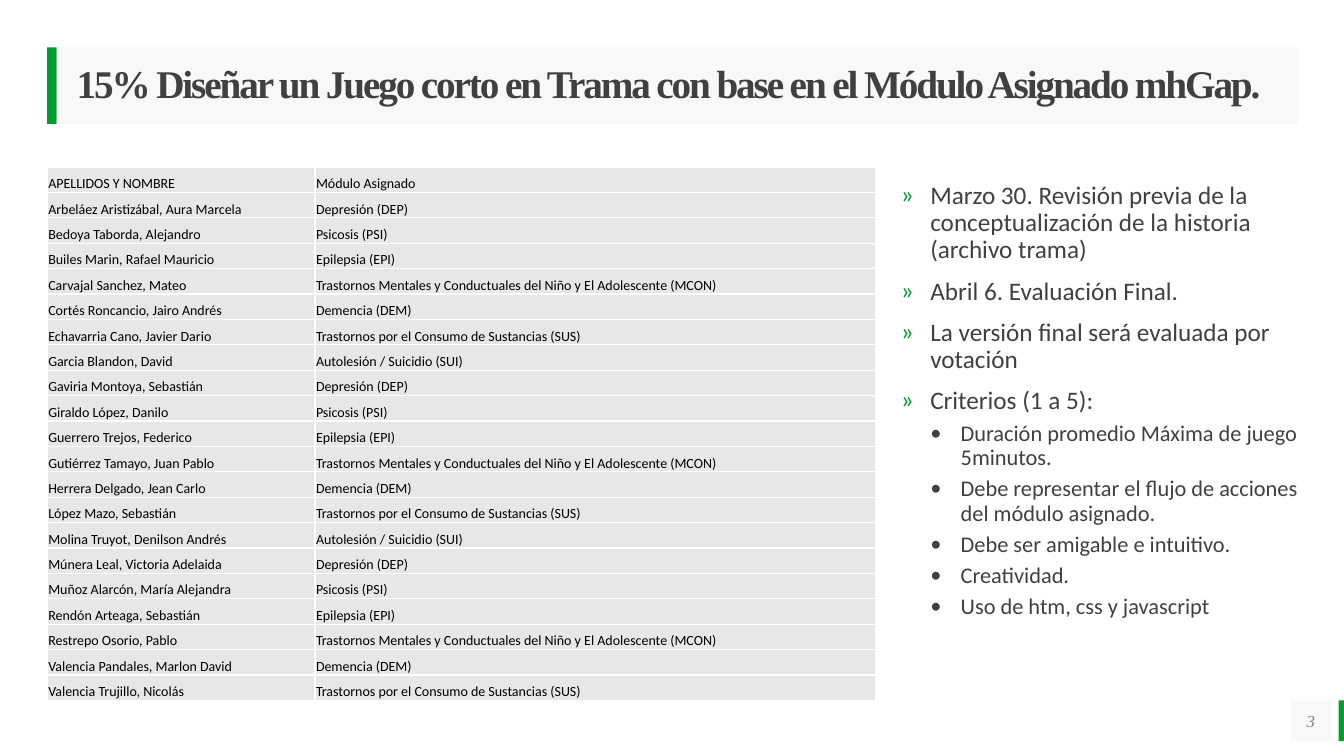
from lxml import etree
from pptx import Presentation, util as u
from pptx.dml.color import RGBColor
from pptx.enum import shapes, text
from pptx.oxml import parse_xml
from pptx.oxml.ns import nsdecls, qn

PX = 9525  # EMU per px, 96 px to the inch
COLORS = {"green": "029B2D", "panel": "F2F2F2", "dark": "404040", "grey": "808080",
          "cell": "E7E7E7", "black": "000000", "white": "FFFFFF"}
SERIF, SANS = "Times New Roman", "Calibri"


def write(paragraph, content, size, color, font=SANS, bold=False, italic=False,
          align=text.PP_ALIGN.LEFT, line=1.0, before=0, tracking=None):
    paragraph.alignment = align
    paragraph.line_spacing = line
    paragraph.space_before = u.Pt(before)
    run = paragraph.add_run()
    run.text = content
    run.font.size = u.Pt(size)
    run.font.name = font
    run.font.bold = bold
    run.font.italic = italic
    run.font.color.rgb = RGBColor.from_string(COLORS[color])
    if tracking:
        run.font._element.set("spc", str(tracking))


def add_rectangle(slide, left, top, width, height, color, opacity=100, inset=0):
    """Add a borderless rectangle and return its first paragraph."""
    shape = slide.shapes.add_shape(shapes.MSO_SHAPE.RECTANGLE,
                                   left * PX, top * PX, width * PX, height * PX)
    shape.shadow.inherit = False
    shape.line.fill.background()
    shape.fill.solid()
    shape.fill.fore_color.rgb = RGBColor.from_string(COLORS[color])
    if opacity < 100:
        srgb = shape.fill._xPr.find(".//" + qn("a:srgbClr"))
        etree.SubElement(srgb, qn("a:alpha"), val=str(opacity * 1000))
    frame = shape.text_frame
    frame.word_wrap = True
    frame.vertical_anchor = text.MSO_ANCHOR.MIDDLE
    frame.margin_left = inset * PX
    frame.margin_top = frame.margin_right = frame.margin_bottom = 0
    return frame.paragraphs[0]


presentation = Presentation()
presentation.slide_width = 1280 * PX
presentation.slide_height = 720 * PX
slide = presentation.slides.add_slide(presentation.slide_layouts[6])

# Title band and page number
add_rectangle(slide, 1275, 667, 5, 39, "green")
add_rectangle(slide, 45, 45, 9, 73, "green")
page_number = add_rectangle(slide, 1229, 667, 39, 39, "panel", opacity=50)
write(page_number, "3", 12, "grey", font=SERIF, italic=True, align=text.PP_ALIGN.CENTER)
title = add_rectangle(slide, 54, 45, 1182, 73, "panel", opacity=50, inset=19)
write(title, "15% Diseñar un Juego corto en Trama con base en el Módulo Asignado mhGap.",
      28, "dark", font=SERIF, bold=True, line=0.9, tracking=-150)

# Dates and criteria
NOTES = [
    (0, "Marzo 30. Revisión previa de la conceptualización de la historia (archivo trama)"),
    (0, "Abril 6. Evaluación Final."),
    (0, "La versión final será evaluada por votación"),
    (0, "Criterios (1 a 5):"),
    (1, "Duración promedio Máxima de juego 5minutos."),
    (1, "Debe representar el flujo de acciones del módulo asignado."),
    (1, "Debe ser amigable e intuitivo."),
    (1, "Creatividad."),
    (1, "Uso de htm, css y javascript"),
]
# Per level: text size, space before, left margin, hanging indent, bullet, bullet color
LEVELS = [(18, 10, 28, 28, "»", "green"), (16, 5, 57, 29, "•", "dark")]

notes_frame = slide.shapes.add_textbox(858 * PX, 174 * PX, 378 * PX, 468 * PX).text_frame
notes_frame.word_wrap = True
notes_frame.margin_left = notes_frame.margin_top = 0
notes_frame.margin_right = notes_frame.margin_bottom = 0
for index, (level, note) in enumerate(NOTES):
    size, before, margin, hanging, bullet, bullet_color = LEVELS[level]
    paragraph = notes_frame.add_paragraph() if index else notes_frame.paragraphs[0]
    paragraph.level = level
    write(paragraph, note, size, "dark", line=0.9, before=before)
    properties = paragraph._p.get_or_add_pPr()
    properties.set("marL", str(margin * PX))
    properties.set("indent", str(-hanging * PX))
    bullet_fill = etree.SubElement(properties, qn("a:buClr"))
    etree.SubElement(bullet_fill, qn("a:srgbClr"), val=COLORS[bullet_color])
    etree.SubElement(properties, qn("a:buFont"), typeface=SANS)
    etree.SubElement(properties, qn("a:buChar"), char=bullet)

# Students, with the modules assigned in rotation
STUDENTS = [
    "Arbeláez Aristizábal, Aura Marcela", "Bedoya Taborda, Alejandro",
    "Builes Marin, Rafael Mauricio", "Carvajal Sanchez, Mateo",
    "Cortés Roncancio, Jairo Andrés", "Echavarria Cano, Javier Dario",
    "Garcia Blandon, David", "Gaviria Montoya, Sebastián",
    "Giraldo López, Danilo", "Guerrero Trejos, Federico",
    "Gutiérrez Tamayo, Juan Pablo", "Herrera Delgado, Jean Carlo",
    "López Mazo, Sebastián", "Molina Truyot, Denilson Andrés",
    "Múnera Leal, Victoria Adelaida", "Muñoz Alarcón, María Alejandra",
    "Rendón Arteaga, Sebastián", "Restrepo Osorio, Pablo",
    "Valencia Pandales, Marlon David", "Valencia Trujillo, Nicolás",
]
MODULES = [
    "Depresión (DEP)", "Psicosis (PSI)", "Epilepsia (EPI)",
    "Trastornos Mentales y Conductuales del Niño y El Adolescente (MCON)",
    "Demencia (DEM)", "Trastornos por el Consumo de Sustancias (SUS)",
    "Autolesión / Suicidio (SUI)",
]
rows = [("APELLIDOS Y NOMBRE", "Módulo Asignado")]
rows += [(student, MODULES[i % len(MODULES)]) for i, student in enumerate(STUDENTS)]

TABLE_HEIGHT = 508
table = slide.shapes.add_table(len(rows), 2, 45 * PX, 159 * PX,
                               789 * PX, TABLE_HEIGHT * PX).table
table.first_row = table.horz_banding = False
for column, width in zip(table.columns, (255, 534)):
    column.width = width * PX
for row, values in zip(table.rows, rows):
    row.height = TABLE_HEIGHT * PX // len(rows)
    for cell, value in zip(row.cells, values):
        cell.vertical_anchor = text.MSO_ANCHOR.BOTTOM
        cell.margin_left = cell.margin_top = cell.margin_right = PX
        cell.margin_bottom = 0
        cell.fill.solid()
        cell.fill.fore_color.rgb = RGBColor.from_string(COLORS["cell"])
        write(cell.text_frame.paragraphs[0], value, 10, "black")
        for position, side in enumerate("LRTB"):
            border = parse_xml(
                f'<a:ln{side} {nsdecls("a")} w="12700"><a:solidFill>'
                f'<a:srgbClr val="{COLORS["white"]}"/></a:solidFill></a:ln{side}>')
            cell._tc.get_or_add_tcPr().insert(position, border)

presentation.save("out.pptx")
